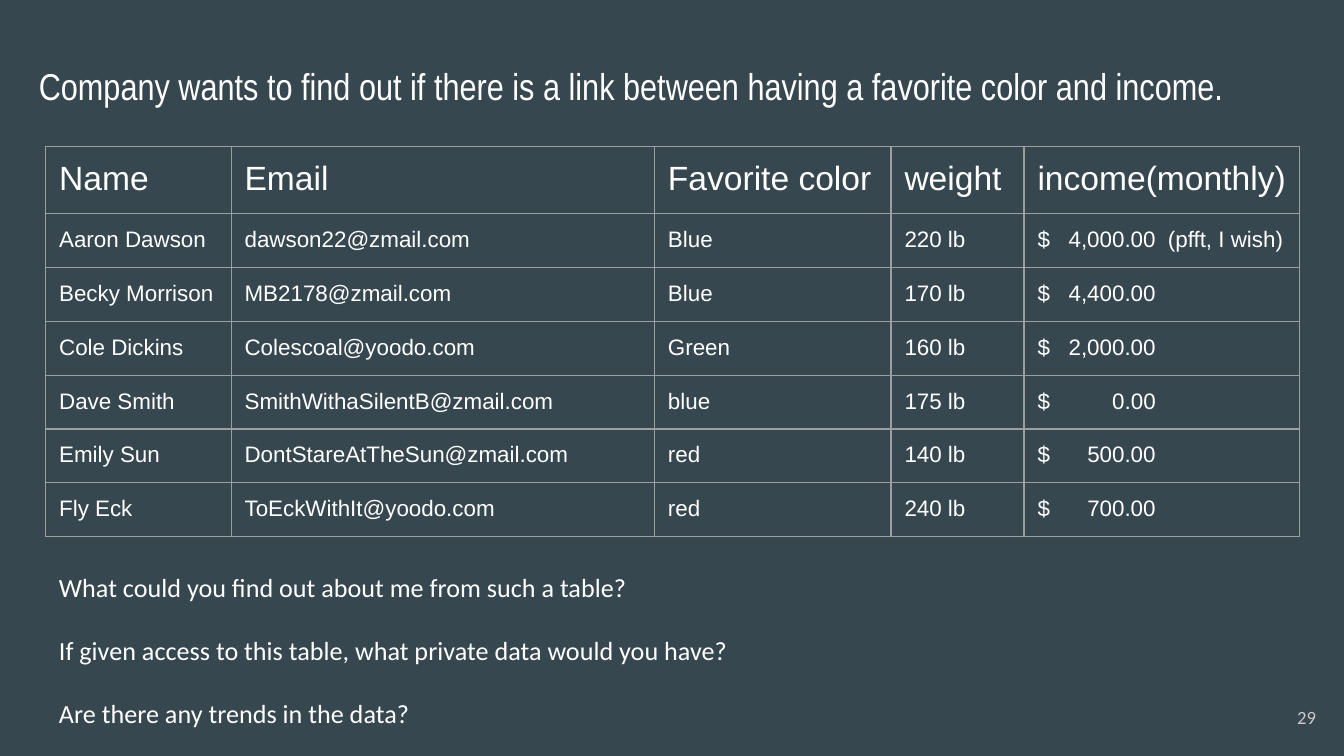
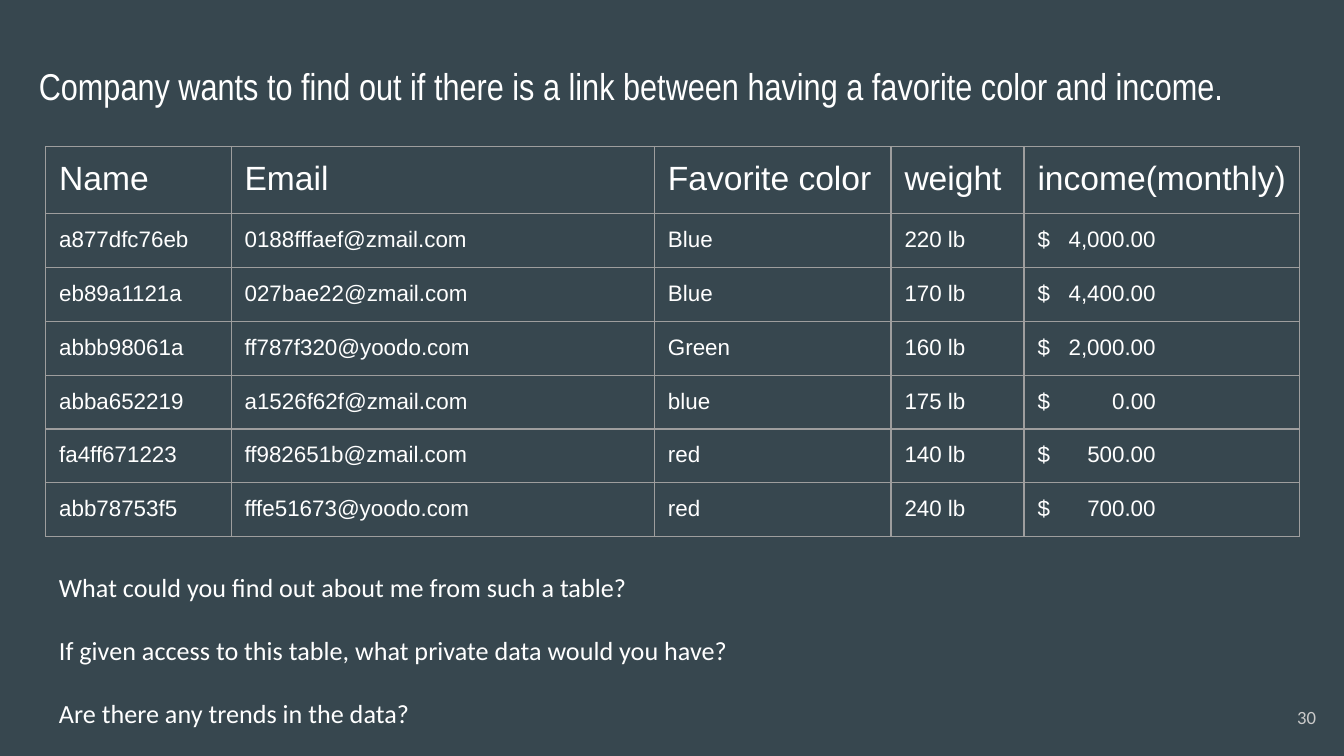
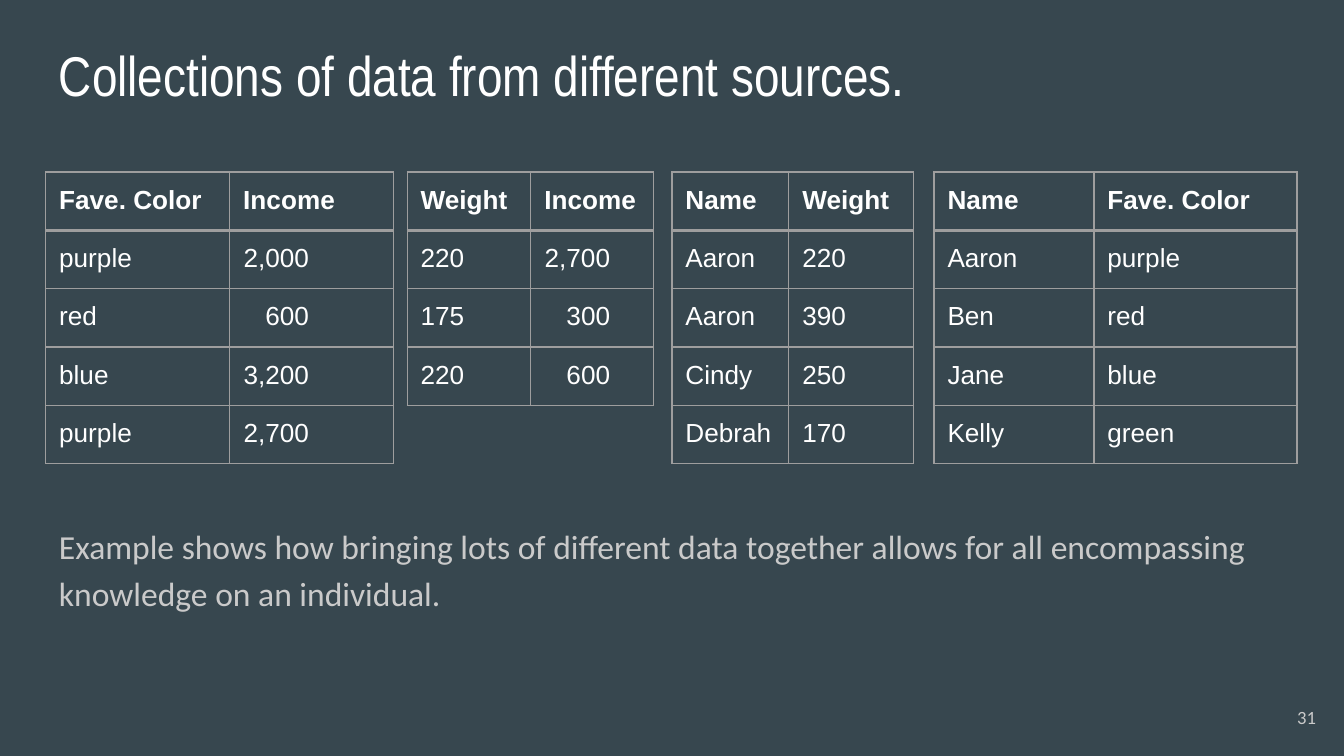
from lxml.etree import SubElement
from pptx import Presentation
from pptx.dml.color import RGBColor
from pptx.enum.text import MSO_ANCHOR as Anchor, PP_ALIGN as Align
from pptx.oxml.ns import qn
from pptx.util import Inches, Pt

COLORS = {"background": "37474F", "text": "FFFFFF", "muted": "CACACA", "border": "9E9E9E"}
TITLE_FONT, BODY_FONT, TABLE_FONT = "Arial Narrow", "Calibri", "Arial"
INSET = Inches(0.1)
LEFT = 0.34
THIN, THICK = 0.75, 1.5

SURVEY_TITLE = "Company wants to find out if there is a link between having a favorite color and income."
SURVEY_HEADER = ["Name", "Email", "Favorite color", "weight", "income(monthly)"]
SURVEY_ANSWERS = [
    ["Blue", "220 lb", "$\t4,000.00"],
    ["Blue", "170 lb", "$\t4,400.00"],
    ["Green", "160 lb", "$\t2,000.00"],
    ["blue", "175 lb", "$\t0.00"],
    ["red", "140 lb", "$\t500.00"],
    ["red", "240 lb", "$\t700.00"],
]
NAMED_PEOPLE = [
    ["Aaron Dawson", "dawson22@zmail.com"],
    ["Becky Morrison", "MB2178@zmail.com"],
    ["Cole Dickins", "Colescoal@yoodo.com"],
    ["Dave Smith", "SmithWithaSilentB@zmail.com"],
    ["Emily Sun", "DontStareAtTheSun@zmail.com"],
    ["Fly Eck", "ToEckWithIt@yoodo.com"],
]
HASHED_PEOPLE = [
    ["a877dfc76eb", "0188fffaef@zmail.com"],
    ["eb89a1121a", "027bae22@zmail.com"],
    ["abbb98061a", "ff787f320@yoodo.com"],
    ["abba652219", "a1526f62f@zmail.com"],
    ["fa4ff671223", "ff982651b@zmail.com"],
    ["abb78753f5", "fffe51673@yoodo.com"],
]
QUESTIONS = [
    "What could you find out about me from such a table?",
    "If given access to this table, what private data would you have?",
    "Are there any trends in the data?",
]
# Each source: left edge, column widths, rows, right margin of the income column
SOURCES = [
    (0.34, [1.37, 1.22], [["Fave. Color", "Income"], ["purple", "2,000"], ["red", "600"],
                          ["blue", "3,200"], ["purple", "2,700"]], 0.63),
    (3.03, [0.92, 0.91], [["Weight", "Income"], ["220", "2,700"], ["175", "300"],
                          ["220", "600"]], 0.32),
    (5.0, [0.87, 0.93], [["Name", "Weight"], ["Aaron", "220"], ["Aaron", "390"],
                         ["Cindy", "250"], ["Debrah", "170"]], None),
    (6.95, [1.19, 1.51], [["Name", "Fave. Color"], ["Aaron", "purple"], ["Ben", "red"],
                          ["Jane", "blue"], ["Kelly", "green"]], None),
]


def format_runs(paragraph, font, size, color="text", bold=False):
    for run in paragraph.runs:
        run.font.name = font
        run.font.size = Pt(size)
        run.font.bold = bold
        run.font.color.rgb = RGBColor.from_string(COLORS[color])


def add_text(slide, box, text, font, size, color="text"):
    """Add a wrapping text box and return its text frame."""
    frame = slide.shapes.add_textbox(*map(Inches, box)).text_frame
    frame.word_wrap = True
    frame.margin_left = frame.margin_right = frame.margin_top = frame.margin_bottom = INSET
    frame.text = text
    for paragraph in frame.paragraphs:
        format_runs(paragraph, font, size, color)
    return frame


def set_borders(cell, top=THIN, bottom=THIN):
    properties = cell._tc.get_or_add_tcPr()
    for side, width in (("L", THIN), ("R", THIN), ("T", top), ("B", bottom)):
        line = SubElement(properties, qn(f"a:ln{side}"), w=str(Pt(width)), cmpd="sng")
        fill = SubElement(line, qn("a:solidFill"))
        SubElement(fill, qn("a:srgbClr"), val=COLORS["border"])
        SubElement(line, qn("a:prstDash"), val="solid")


def add_grid(slide, left, top, widths, heights, rows, sizes, header_rule=THIN, bold_header=False):
    """Add an outlined table; sizes holds the header and the body text size."""
    frame = slide.shapes.add_table(len(rows), len(widths), Inches(left), Inches(top),
                                   Inches(sum(widths)), Inches(sum(heights)))
    table = frame.table
    table.horz_banding = False
    for column, width in zip(table.columns, widths):
        column.width = Inches(width)
    for row, height in zip(table.rows, heights):
        row.height = Inches(height)
    for row_index, row in enumerate(rows):
        is_header = row_index == 0
        for column_index, text in enumerate(row):
            cell = table.cell(row_index, column_index)
            set_borders(cell, top=header_rule if row_index == 1 else THIN,
                        bottom=header_rule if is_header else THIN)
            cell.fill.background()
            cell.margin_left = cell.margin_right = cell.margin_top = cell.margin_bottom = INSET
            cell.text_frame.text = text
            paragraph = cell.text_frame.paragraphs[0]
            paragraph.line_spacing = 1.0
            format_runs(paragraph, TABLE_FONT, sizes[0] if is_header else sizes[1],
                        bold=is_header and bold_header)
    return table


def add_tab_stops(paragraph, stops):
    tab_list = SubElement(paragraph._p.get_or_add_pPr(), qn("a:tabLst"))
    for position, alignment in stops:
        SubElement(tab_list, qn("a:tab"), pos=str(Inches(position)), algn=alignment)


def add_slide(presentation, number, title, title_box, title_size):
    """Add a slide with the shared background, title and page number."""
    slide = presentation.slides.add_slide(presentation.slide_layouts[6])
    slide.background.fill.solid()
    slide.background.fill.fore_color.rgb = RGBColor.from_string(COLORS["background"])
    add_text(slide, title_box, title, TITLE_FONT, title_size)
    footer = add_text(slide, (9.29, 5.12, 0.6, 0.43), str(number), BODY_FONT, 10, "muted")
    footer.vertical_anchor = Anchor.MIDDLE
    footer.paragraphs[0].alignment = Align.RIGHT
    return slide


def add_survey_slide(presentation, number, people, income_note=""):
    slide = add_slide(presentation, number, SURVEY_TITLE, (0.19, 0.37, 9.32, 0.63), 20)
    records = [person + answers for person, answers in zip(people, SURVEY_ANSWERS)]
    if income_note:
        records[0][-1] += f"\t{income_note}"
    table = add_grid(slide, LEFT, 1.09, [1.38, 3.15, 1.76, 0.99, 2.05],
                     [0.42] + [0.38] * len(records), [SURVEY_HEADER] + records, (18, 12))
    for row_index in range(1, len(records) + 1):
        income = table.cell(row_index, 4).text_frame.paragraphs[0]
        add_tab_stops(income, [(0.88, "r"), (0.97, "l")])
    questions = add_text(slide, (LEFT, 4.15, 9.29, 2.23), "\n".join(QUESTIONS), BODY_FONT, 14)
    for paragraph in questions.paragraphs[1:]:
        paragraph.space_before = Pt(17)


def add_sources_slide(presentation, number):
    slide = add_slide(presentation, number, "Collections of data from different sources.",
                      (LEFT, 0.2, 9.32, 0.63), 30)
    for left, widths, rows, income_margin in SOURCES:
        table = add_grid(slide, left, 1.28, widths, [0.42] * len(rows), rows, (14, 14),
                         header_rule=THICK, bold_header=True)
        if income_margin is None:
            continue
        for row_index in range(1, len(rows)):
            cell = table.cell(row_index, 1)
            cell.margin_left = 0
            cell.margin_right = Inches(income_margin)
            cell.text_frame.paragraphs[0].alignment = Align.RIGHT
    summary = add_text(slide, (LEFT, 3.77, 9.32, 1.23),
                       "Example shows how bringing lots of different data together allows "
                       "for all encompassing knowledge on an individual.",
                       BODY_FONT, 18, "muted").paragraphs[0]
    summary.line_spacing = 1.15
    summary.space_after = Pt(16)


def main():
    presentation = Presentation()
    presentation.slide_width = Inches(10)
    presentation.slide_height = Inches(10 * 9 / 16)
    add_survey_slide(presentation, 29, NAMED_PEOPLE, "(pfft, I wish)")
    add_survey_slide(presentation, 30, HASHED_PEOPLE)
    add_sources_slide(presentation, 31)
    presentation.save("out.pptx")


if __name__ == "__main__":
    main()
